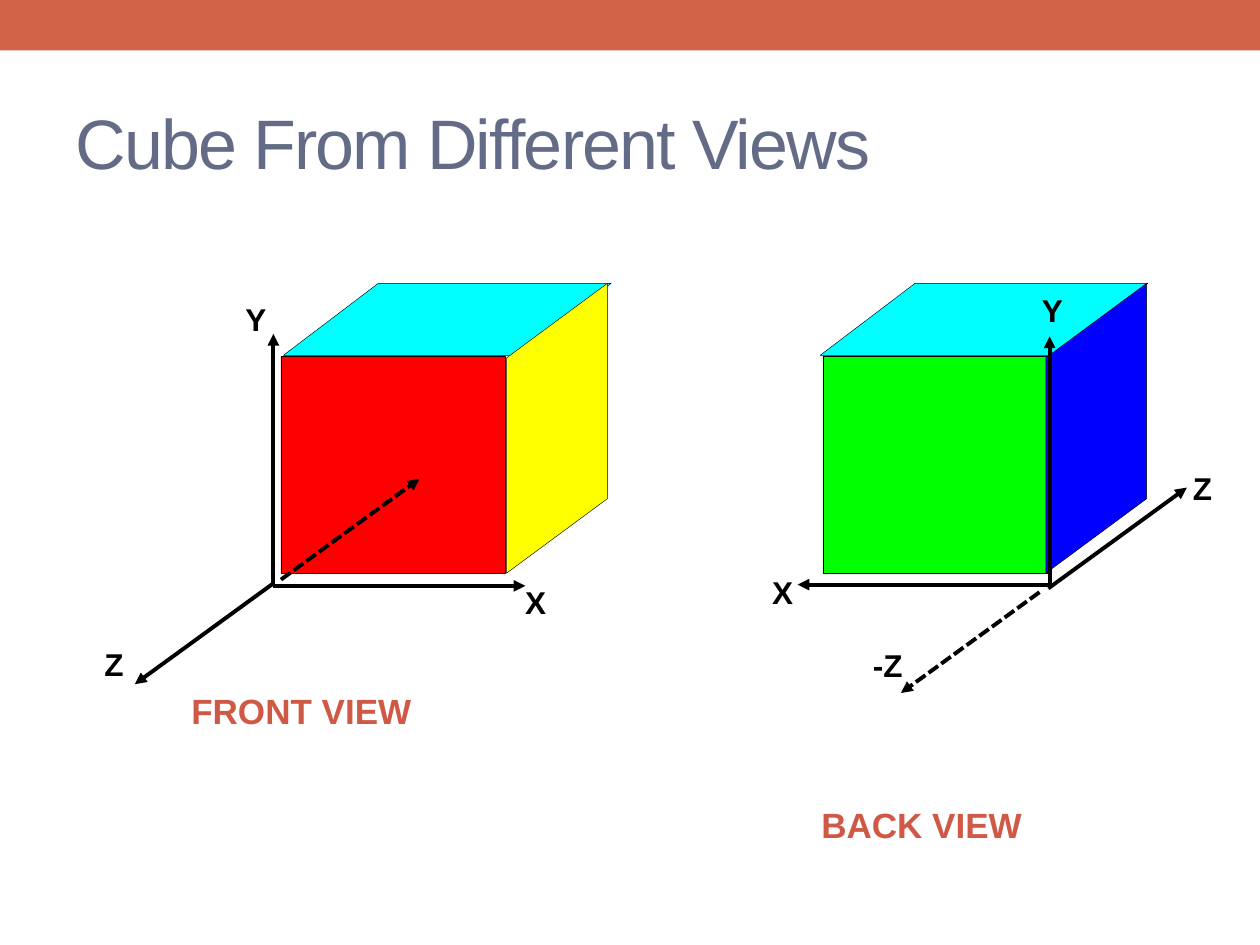
"""Build a slide that shows a cube from the front and from the back."""
from dataclasses import dataclass

from lxml.etree import SubElement
from pptx import Presentation
from pptx.dml.color import RGBColor
from pptx.enum.dml import MSO_LINE
from pptx.enum.shapes import MSO_CONNECTOR, MSO_SHAPE
from pptx.enum.text import MSO_ANCHOR
from pptx.oxml.ns import qn
from pptx.util import Inches, Pt


@dataclass(frozen=True)
class Theme:
    font: str = "Arial"
    banner: str = "D16349"
    title: str = "646B86"
    caption: str = "D05945"
    ink: str = "000000"
    cyan: str = "00FFFF"
    red: str = "FF0000"
    yellow: str = "FFFF00"
    green: str = "00FF00"
    blue: str = "0000FF"
    title_size: int = 40
    caption_size: int = 20
    label_size: int = 18
    edge_width: float = 0.25
    axis_width: float = 2.25


@dataclass(frozen=True)
class View:
    top_left: float
    face_left: float
    side_left: float
    face_color: str
    side_color: str
    axes: tuple
    labels: tuple
    caption: tuple


class SlideBuilder:
    def __init__(self, slide, theme):
        self.slide = slide
        self.theme = theme

    def shape(self, shapes, kind, box, color, edge=True):
        shape = shapes.add_shape(kind, *map(Inches, box))
        shape.shadow.inherit = False
        shape.fill.solid()
        shape.fill.fore_color.rgb = RGBColor.from_string(color)
        if edge:
            shape.line.color.rgb = RGBColor.from_string(self.theme.ink)
            shape.line.width = Pt(self.theme.edge_width)
        else:
            shape.line.fill.background()
        return shape

    def text(self, shapes, text, box, size, color, bold=True, spacing=0):
        shape = shapes.add_textbox(*map(Inches, box))
        frame = shape.text_frame
        frame.word_wrap = True
        run = frame.paragraphs[0].add_run()
        run.text = text
        run.font.name = self.theme.font
        run.font.size = Pt(size)
        run.font.bold = bold
        run.font.color.rgb = RGBColor.from_string(color)
        if spacing:
            run.font._element.set("spc", str(spacing * 100))
        return frame

    def arrow(self, shapes, start, end, dashed=False):
        arrow = shapes.add_connector(MSO_CONNECTOR.STRAIGHT, *map(Inches, start + end))
        arrow.line.color.rgb = RGBColor.from_string(self.theme.ink)
        arrow.line.width = Pt(self.theme.axis_width)
        if dashed:
            arrow.line.dash_style = MSO_LINE.SQUARE_DOT
        SubElement(arrow.line._get_or_add_ln(), qn("a:tailEnd"), type="triangle")
        SubElement(arrow._element.spPr, qn("a:effectLst"))

    def cube(self, shapes, view):
        top = self.shape(shapes, MSO_SHAPE.PARALLELOGRAM,
                         (view.top_left, 2.25, 2.6, 0.57), self.theme.cyan)
        top.adjustments[0] = 1.319
        self.shape(shapes, MSO_SHAPE.RECTANGLE,
                   (view.face_left, 2.83, 1.78, 1.72), view.face_color)
        side = self.shape(shapes, MSO_SHAPE.PARALLELOGRAM,
                          (view.side_left, 3, 2.3, 0.8), view.side_color)
        side.adjustments[0] = 0.739
        side.rotation = 270
        side._element.spPr.xfrm.set("flipV", "1")

    def view(self, view):
        shapes = self.slide.shapes.add_group_shape().shapes
        self.cube(shapes, view)
        for axis in view.axes:
            self.arrow(shapes, *axis)
        for text, left, top in view.labels:
            width = 0.2 + 0.1 * len(text) if len(text) == 1 else 0.5
            self.text(shapes, text, (left, top, width, 0.4),
                      self.theme.label_size, self.theme.ink)
        text, left, top = view.caption
        self.text(self.slide.shapes, text, (left, top, 2.17, 0.44),
                  self.theme.caption_size, self.theme.caption)

    def heading(self, text):
        shapes = self.slide.shapes
        self.shape(shapes, MSO_SHAPE.RECTANGLE, (0, 0, 10, 0.4),
                   self.theme.banner, edge=False)
        frame = self.text(shapes, text, (0.5, 0.58, 9, 1.08), self.theme.title_size,
                          self.theme.title, bold=False, spacing=-1)
        frame.vertical_anchor = MSO_ANCHOR.MIDDLE


def main():
    theme = Theme()
    front = View(
        2.25, 2.23, 3.27, theme.red, theme.yellow,
        axes=(
            ((2.17, 4.65), (2.17, 2.65)),
            ((2.17, 4.65), (4.17, 4.65)),
            ((2.17, 4.63), (1.07, 5.43)),
            ((2.23, 4.6), (3.33, 3.8), True),
        ),
        labels=(("Y", 1.85, 2.33), ("X", 4.07, 4.58), ("Z", 0.73, 5.07)),
        caption=("FRONT VIEW", 1.42, 5.42),
    )
    back = View(
        6.51, 6.53, 7.55, theme.green, theme.blue,
        axes=(
            ((8.33, 4.67), (8.33, 2.67)),
            ((8.33, 4.64), (6.33, 4.64)),
            ((8.25, 4.7), (7.15, 5.5), True),
            ((8.32, 4.67), (9.42, 3.87)),
        ),
        labels=(("Y", 8.17, 2.26), ("X", 6.03, 4.5), ("Z", 9.37, 3.67), ("-Z", 6.83, 5.08)),
        caption=("BACK VIEW", 6.42, 6.33),
    )
    presentation = Presentation()
    presentation.slide_width = Inches(10)
    presentation.slide_height = Inches(7.5)
    slide = presentation.slides.add_slide(presentation.slide_layouts[6])
    builder = SlideBuilder(slide, theme)
    builder.heading("Cube From Different Views")
    for view in (front, back):
        builder.view(view)
    presentation.save("out.pptx")


if __name__ == "__main__":
    main()
